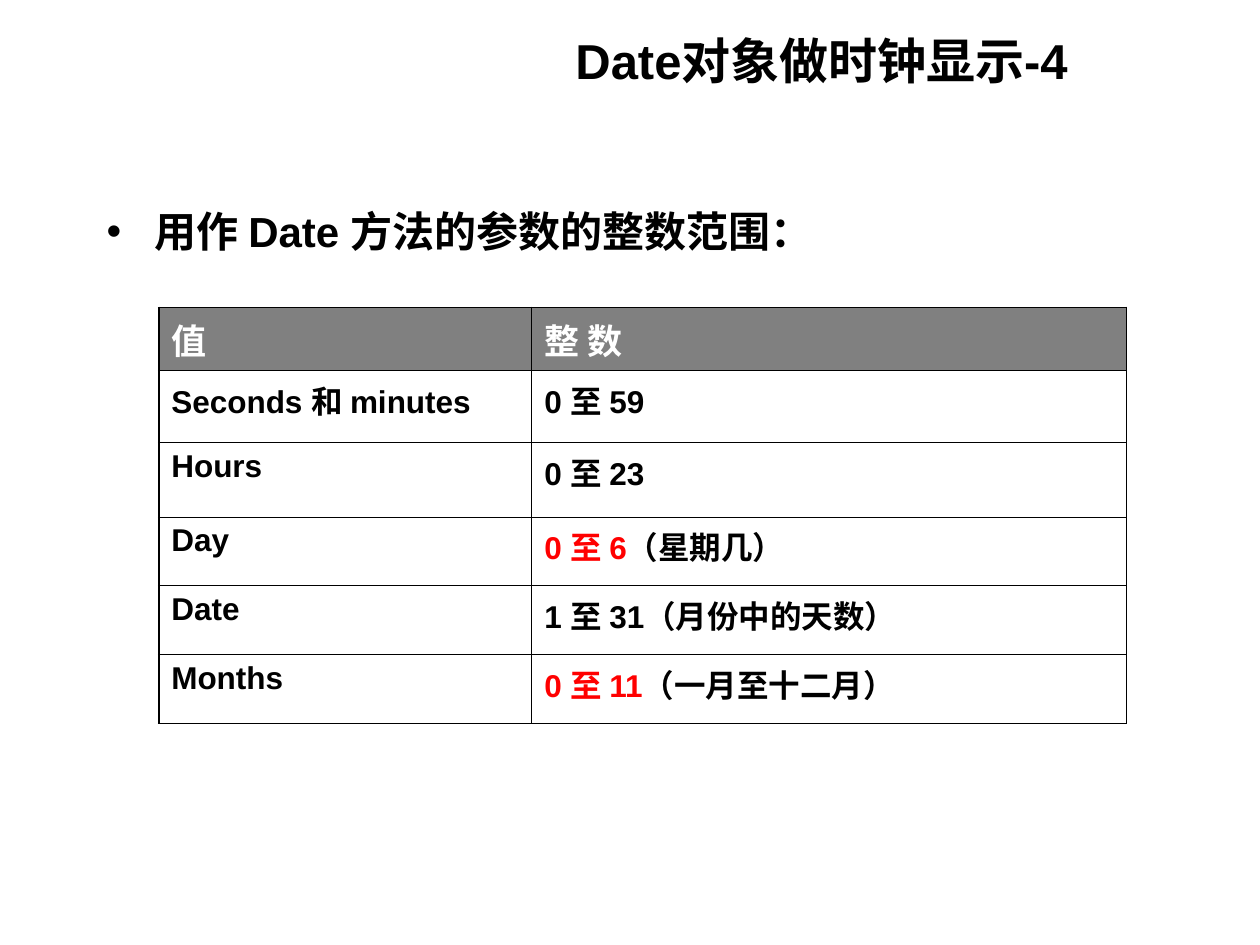
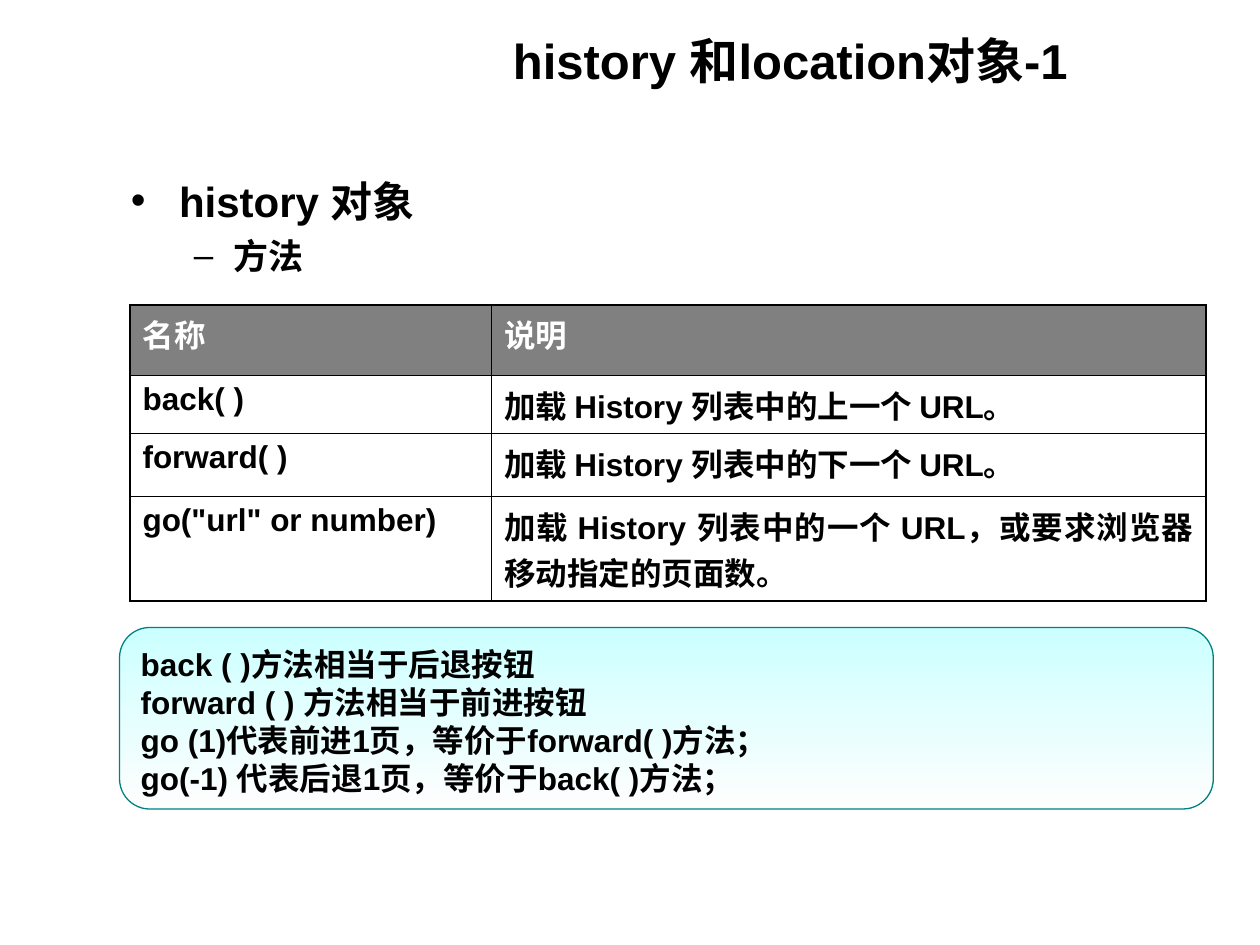
from lxml import etree
from pptx import Presentation
from pptx.dml.color import RGBColor
from pptx.enum.shapes import MSO_SHAPE
from pptx.enum.text import MSO_ANCHOR, PP_ALIGN
from pptx.oxml.ns import qn
from pptx.util import Cm, Pt

ROUNDED = MSO_SHAPE.ROUNDED_RECTANGLE
MIDDLE, TOP = MSO_ANCHOR.MIDDLE, MSO_ANCHOR.TOP
LEFT, RIGHT, JUSTIFY = PP_ALIGN.LEFT, PP_ALIGN.RIGHT, PP_ALIGN.JUSTIFY
LATIN, CJK = "Arial", "Noto Sans CJK SC"
BLACK, WHITE, GREY, RED = "000000", "FFFFFF", "808080", "FF0000"
TEAL, AQUA, PALE = "008080", "CCFFFF", "FEFEFE"
THICK, THIN = 1.08, 0.45
LEADING = 1.2
BULLETS = [("•", 24, 0.97, 0.97, 6), ("–", 20, 2.06, 0.79, 5)]


def rgb(value):
    return RGBColor.from_string(value)


class Deck:
    """Holds the shared style and the slide being built."""

    def __init__(self):
        self.prs = Presentation()
        self.prs.slide_width, self.prs.slide_height = Cm(25.4), Cm(19.05)

    def slide(self, title):
        self.s = self.prs.slides.add_slide(self.prs.slide_layouts[6])
        tf = self.text_box(-1.09, 0.03, 22.86, 2.21)
        tf.vertical_anchor, tf.margin_top = MIDDLE, Cm(0.28)
        self.paragraph(tf.paragraphs[0], title, 28, RIGHT, leading=LEADING)

    def text_box(self, x, y, w, h):
        tf = self.s.shapes.add_textbox(Cm(x), Cm(y), Cm(w), Cm(h)).text_frame
        tf.word_wrap, tf.margin_top = True, Cm(0.2)
        return tf

    def paragraph(self, p, text, size, align=LEFT, color=BLACK, font=LATIN, leading=None):
        p.alignment = align
        if leading:
            p.line_spacing = Pt(round(size * leading, 1))
        p.font.size, p.font.bold, p.font.name = Pt(size), True, font
        p.font.color.rgb = rgb(color)
        props = p._p.pPr.find(qn("a:defRPr"))
        etree.SubElement(props, qn("a:ea")).set("typeface", CJK)
        marked, plain = text if isinstance(text, tuple) else ("", text)
        if marked:
            r = p.add_run()
            r.text = marked
            r.font.color.rgb = rgb(RED)
        p.add_run().text = plain

    def bullets(self, x, y, w, h, texts):
        tf = self.text_box(x, y, w, h)
        for i, (text, (char, size, margin, hang, before)) in enumerate(zip(texts, BULLETS)):
            p = tf.add_paragraph() if i else tf.paragraphs[0]
            self.paragraph(p, text, size, leading=LEADING)
            p.level, p.space_before = i, Pt(before)
            pPr = p._p.pPr
            pPr.set("marL", str(Cm(margin)))
            pPr.set("indent", str(-Cm(hang)))
            props = pPr.find(qn("a:defRPr"))
            for tag, name, value in (("a:buFont", "typeface", LATIN), ("a:buChar", "char", char)):
                bullet = etree.Element(qn(tag))
                bullet.set(name, value)
                props.addprevious(bullet)

    def table(self, x, y, widths, heights, rows, head_size):
        frame = self.s.shapes.add_table(len(rows), len(widths), Cm(x), Cm(y),
                                        Cm(sum(widths)), Cm(sum(heights)))
        table = frame.table
        table.first_row = table.horz_banding = False
        for column, width in zip(table.columns, widths):
            column.width = Cm(width)
        last_row, last_col = len(rows) - 1, len(widths) - 1
        for i, (row, height) in enumerate(zip(rows, heights)):
            table.rows[i].height = Cm(height)
            for j, text in enumerate(row):
                cell = table.cell(i, j)
                cell.fill.solid()
                cell.fill.fore_color.rgb = rgb(WHITE if i else GREY)
                p = cell.text_frame.paragraphs[0]
                if i:
                    self.paragraph(p, text, 18, JUSTIFY)
                else:
                    self.paragraph(p, text, head_size, color=WHITE, font=CJK)
                    p.space_before = Pt(head_size / 4)
                self.borders(cell, j == 0, j == last_col, i == 0, i == last_row)

    def borders(self, cell, *outer):
        tcPr = cell._tc.get_or_add_tcPr()
        for k, (side, is_outer) in enumerate(zip("LRTB", outer)):
            ln = etree.Element(qn("a:ln" + side))
            ln.set("w", str(Pt(THICK if is_outer else THIN)))
            fill = etree.SubElement(ln, qn("a:solidFill"))
            etree.SubElement(fill, qn("a:srgbClr")).set("val", BLACK)
            tcPr.insert(k, ln)

    def note(self, x, y, w, h, lines):
        sp = self.s.shapes.add_shape(ROUNDED, Cm(x), Cm(y), Cm(w), Cm(h))
        sp.shadow.inherit = False
        sp.fill.gradient()
        sp.fill.gradient_angle = 270
        for stop, color in zip(sp.fill.gradient_stops, (AQUA, PALE)):
            stop.color.rgb = rgb(color)
        sp.line.color.rgb, sp.line.width = rgb(TEAL), Pt(0.75)
        tf = sp.text_frame
        tf.word_wrap, tf.vertical_anchor, tf.margin_top = True, TOP, Cm(0.18)
        for i, line in enumerate(lines):
            p = tf.add_paragraph() if i else tf.paragraphs[0]
            self.paragraph(p, line, 18, leading=LEADING)


deck = Deck()

deck.slide("Date对象做时钟显示-4")
deck.bullets(1.9, 3.94, 22.86, 2, ["用作 Date 方法的参数的整数范围："])
deck.table(3.2, 6.2, [7.52, 11.99], [1.27, 1.45, 1.5, 1.39, 1.39, 1.39], [
    ("值", "整 数"),
    ("Seconds 和 minutes", "0 至 59"),
    ("Hours", "0 至 23"),
    ("Day", ("0 至 6", "（星期几）")),
    ("Date", "1 至 31（月份中的天数）"),
    ("Months", ("0 至 11", "（一月至十二月）")),
], 20)

deck.slide("history 和location对象-1")
deck.bullets(2.39, 3.33, 23.01, 2.79, ["history 对象", "方法"])
deck.table(2.62, 6.15, [7.29, 14.4], [1.42, 1.17, 1.27, 2.1], [
    ("名称", "说明"),
    ("back( )", "加载 History 列表中的上一个 URL。"),
    ("forward( )", "加载 History 列表中的下一个 URL。"),
    ('go("url" or number)', "加载 History 列表中的一个 URL，或要求浏览器移动指定的页面数。"),
], 18)
deck.note(2.41, 12.65, 22.05, 3.66, [
    "back ( )方法相当于后退按钮",
    "forward ( ) 方法相当于前进按钮",
    "go (1)代表前进1页，等价于forward( )方法；",
    "go(-1) 代表后退1页，等价于back( )方法；",
])

deck.prs.save("out.pptx")
